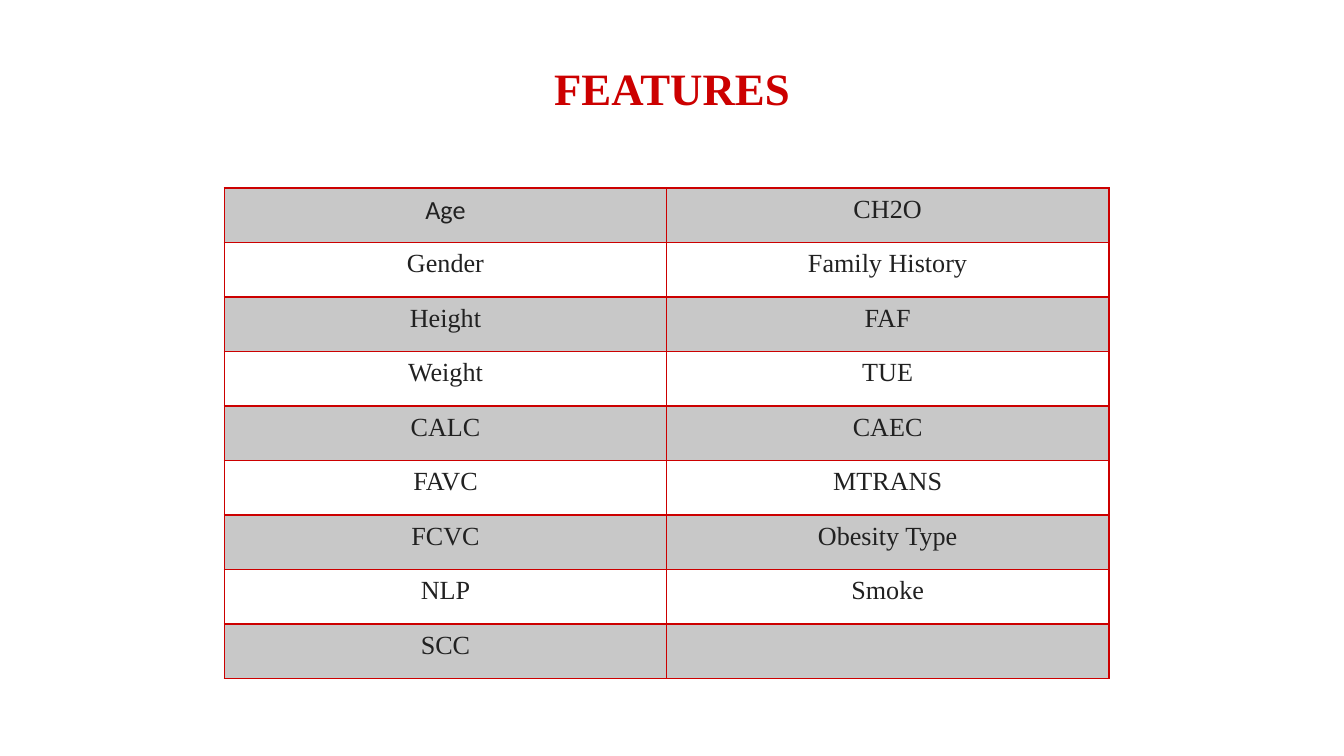
import pptx
import pptx.dml.color
import pptx.enum.text
import pptx.oxml
import pptx.oxml.ns
import pptx.util

Inches = pptx.util.Inches
Pt = pptx.util.Pt
RGBColor = pptx.dml.color.RGBColor
CENTER = pptx.enum.text.PP_ALIGN.CENTER
MIDDLE = pptx.enum.text.MSO_ANCHOR.MIDDLE

HEADING = "FEATURES"
FEATURES = [
    ("Age", "CH2O"),
    ("Gender", "Family History"),
    ("Height", "FAF"),
    ("Weight", "TUE"),
    ("CALC", "CAEC"),
    ("FAVC", "MTRANS"),
    ("FCVC", "Obesity Type"),
    ("NLP", "Smoke"),
    ("SCC", ""),
]

RED = RGBColor(0xCC, 0x00, 0x00)
GRAY = RGBColor(0xC8, 0xC8, 0xC8)
INK = RGBColor(0x21, 0x21, 0x21)
SERIF = "Times New Roman"
SANS = "Calibri"

WIDTH = 10
HEIGHT = WIDTH * 9 / 16
TITLE_MARGIN, TITLE_TOP, TITLE_HEIGHT = 0.34, 0.35, 0.63
GRID_LEFT, GRID_TOP = 1.67, 1.4
COLUMN_WIDTH, GRID_HEIGHT = 3.29, 3.65


def write(frame, text, font, size, color, bold=False):
    frame.text = text
    paragraph = frame.paragraphs[0]
    paragraph.alignment = CENTER
    for run in paragraph.runs:
        run.font.name = font
        run.font.size = Pt(size)
        run.font.color.rgb = color
        run.font.bold = bold


def add_borders(cell):
    properties = cell._tc.get_or_add_tcPr()
    for index, side in enumerate(("lnL", "lnR", "lnT", "lnB")):
        border = pptx.oxml.parse_xml(
            f'<a:{side} {pptx.oxml.ns.nsdecls("a")} w="{Pt(1)}">'
            f'<a:solidFill><a:srgbClr val="{RED}"/></a:solidFill></a:{side}>'
        )
        properties.insert(index, border)


def add_title(slide):
    title = slide.shapes.title
    title.left, title.top = Inches(TITLE_MARGIN), Inches(TITLE_TOP)
    title.width, title.height = Inches(WIDTH - 2 * TITLE_MARGIN), Inches(TITLE_HEIGHT)
    frame = title.text_frame
    frame.margin_left = frame.margin_right = frame.margin_top = Inches(0.1)
    frame.margin_bottom = Inches(0.13)
    frame.vertical_anchor = MIDDLE
    write(frame, HEADING, SERIF, 24, RED, bold=True)


def add_features(slide):
    columns = len(FEATURES[0])
    table = slide.shapes.add_table(
        len(FEATURES), columns, Inches(GRID_LEFT), Inches(GRID_TOP),
        Inches(columns * COLUMN_WIDTH), Inches(GRID_HEIGHT),
    ).table
    table.first_row = False
    table.horz_banding = False
    for row, names in enumerate(FEATURES):
        for column, name in enumerate(names):
            cell = table.cell(row, column)
            if row % 2 == 0:
                cell.fill.solid()
                cell.fill.fore_color.rgb = GRAY
            else:
                cell.fill.background()
            write(cell.text_frame, name, SANS if name == "Age" else SERIF, 14, INK)
            add_borders(cell)


def main():
    deck = pptx.Presentation()
    deck.slide_width, deck.slide_height = Inches(WIDTH), Inches(HEIGHT)
    slide = deck.slides.add_slide(deck.slide_layouts[5])
    add_title(slide)
    add_features(slide)
    deck.save("out.pptx")


if __name__ == "__main__":
    main()
